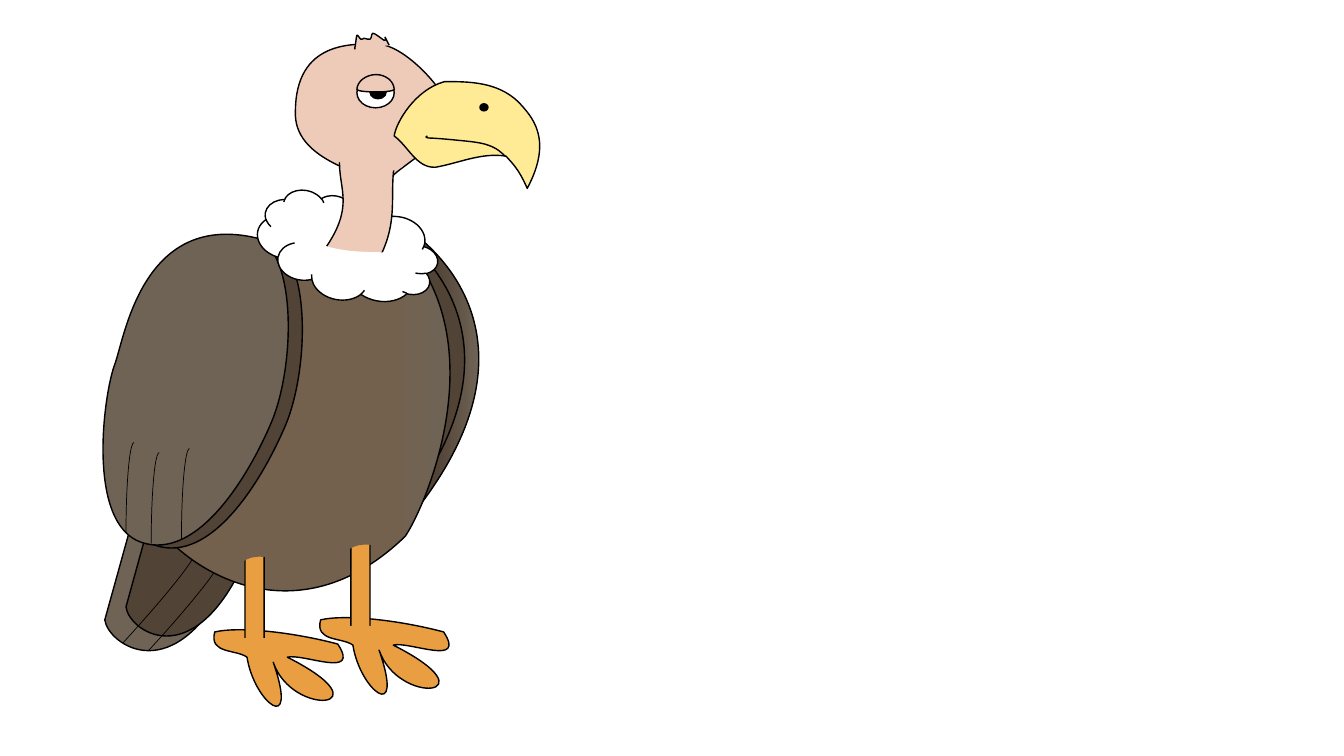
from math import cos, radians, sin

from lxml.etree import SubElement
from pptx import Presentation
from pptx.dml.color import RGBColor
from pptx.enum.shapes import MSO_SHAPE
from pptx.oxml.ns import qn
from pptx.util import Inches, Pt

BLACK = RGBColor(0x00, 0x00, 0x00)
WHITE = RGBColor(0xFF, 0xFF, 0xFF)
GREY_FEATHER = RGBColor(0x6E, 0x63, 0x55)
DARK_FEATHER = RGBColor(0x51, 0x43, 0x36)
BELLY = RGBColor(0x73, 0x61, 0x4E)
ORANGE = RGBColor(0xE9, 0x9E, 0x41)
SKIN = RGBColor(0xEE, 0xCA, 0xB8)
BEAK_YELLOW = RGBColor(0xFF, 0xEB, 0x95)

# Outlines in inches: a start point, then lines (x, y) or curves (two controls, end)
TAIL = [(2.62, 4.25), (1.65, 3.95), (1.04, 6.15),
        (1.07, 6.39, 1.74, 6.88, 2.3, 5.68), (2.62, 4.25)]
INNER_TAIL = [(2.72, 4.25), (1.82, 3.95), (1.25, 6.02),
              (1.27, 6.25, 1.9, 6.71, 2.42, 5.58), (2.72, 4.25)]
FAR_WING = [(3.92, 5.31), (5.65, 3.36, 4.18, 2.31, 3.9, 2.19),
            (2.71, 2.31, 2.97, 3.55, 2.97, 3.85), (2.92, 4.4, 3.82, 5.33, 3.92, 5.31)]
BODY = [(3.95, 2.36), (2.73, 2.41), (1.64, 5.32), (2.04, 5.76, 3.03, 6.28, 4.02, 5.32),
        (4.23, 5.01, 4.94, 3.35, 3.95, 2.36)]
FOOT = [(4.4, 6.27), (3.99, 6.16, 3.44, 6.09, 3.18, 6.15),
        (3.12, 6.37, 3.39, 6.32, 3.5, 6.4), (3.57, 6.85, 4.02, 7.2, 3.76, 6.45),
        (3.95, 7.01, 4.91, 6.91, 3.9, 6.4), (4.06, 6.36, 4.63, 6.62, 4.4, 6.27)]
THIGH = [(3.84, 5.43), (3.69, 5.41, 3.54, 5.35, 3.39, 5.51), (3.34, 5.18),
         (3.79, 5.11), (3.84, 5.43)]
NEAR_WING = [(2.84, 4.2), (3.06, 3.65, 3.08, 2.62, 2.72, 2.4),
             (1.56, 2.1, 1.38, 3.36, 1.28, 3.64), (1.17, 3.92, 0.99, 5.22, 1.54, 5.41),
             (2.1, 5.6, 2.61, 4.75, 2.84, 4.2)]
HEAD = [(4.47, 1.12), (4.44, 0.91, 4.01, 0.44, 3.75, 0.44),
        (3.49, 0.43, 2.93, 0.41, 2.93, 1.11), (2.91, 1.58, 3.59, 1.71, 3.75, 1.81),
        (3.91, 1.92, 3.79, 1.85, 3.91, 1.73), (4.03, 1.62, 4.5, 1.34, 4.47, 1.12)]
BEAK = [(5.14, 1.01), (4.93, 0.81, 4.65, 0.81, 4.41, 0.81),
        (4.12, 0.89, 3.93, 1.21, 3.91, 1.35), (4.05, 1.45, 4.13, 1.67, 4.32, 1.66),
        (4.55, 1.62, 4.78, 1.51, 5.02, 1.55), (5.06, 1.6, 5.14, 1.66, 5.23, 1.87),
        (5.49, 1.38, 5.28, 1.16, 5.14, 1.01)]
NECK = [(3.92, 1.59), (3.38, 1.5), (3.31, 1.85, 3.58, 2.01, 3.17, 2.54), (3.72, 2.64),
        (3.98, 2.2, 3.85, 1.94, 3.92, 1.59)]
MOUTH = [(5.01, 1.55), (4.97, 1.51, 4.93, 1.47, 4.84, 1.44),
         (4.76, 1.41, 4.62, 1.4, 4.52, 1.39), (4.42, 1.38, 4.3, 1.37, 4.25, 1.37),
         (4.2, 1.36, 4.24, 1.35, 4.24, 1.35)]
RUFF_FRONT = [(3.94, 2.51), (3.63, 2.49, 3.35, 2.53, 3.01, 2.35), (2.96, 2.63),
              (3.88, 2.8), (3.94, 2.51)]
EYELID = [(3.91, 0.89), (3.91, 0.81, 3.83, 0.74, 3.73, 0.74),
          (3.63, 0.74, 3.54, 0.81, 3.54, 0.89), (3.57, 0.92, 3.88, 0.92, 3.91, 0.89)]
TUFT = [(3.86, 0.45), (3.82, 0.37), (3.82, 0.37, 3.83, 0.41, 3.81, 0.4),
        (3.79, 0.39, 3.72, 0.33, 3.7, 0.33), (3.68, 0.33, 3.69, 0.38, 3.67, 0.39),
        (3.66, 0.4, 3.63, 0.38, 3.61, 0.38), (3.6, 0.38, 3.59, 0.4, 3.58, 0.39),
        (3.57, 0.39, 3.55, 0.34, 3.54, 0.35), (3.54, 0.35, 3.53, 0.39, 3.53, 0.41),
        (3.53, 0.43, 3.52, 0.47, 3.52, 0.47), (3.52, 0.49, 3.52, 0.49, 3.52, 0.49)]


def points_of(step):
    return list(zip(step[::2], step[1::2]))


def turn(point, degrees):
    x, y = point
    angle = radians(degrees)
    return x * cos(angle) - y * sin(angle), x * sin(angle) + y * cos(angle)


def shifted(outline, dx, dy):
    return [tuple(n for x, y in points_of(step) for n in (x + dx, y + dy))
            for step in outline]


def on_curve(points, t):
    weights = ((1 - t) ** 3, 3 * t * (1 - t) ** 2, 3 * t * t * (1 - t), t ** 3)
    return tuple(sum(w * p[axis] for w, p in zip(weights, points)) for axis in (0, 1))


def paint(shape, fill, line_width):
    """Fill with a colour, with a (left, right, start) blend, or with nothing."""
    shape.shadow.inherit = False
    if fill is None:
        shape.fill.background()
    elif isinstance(fill, RGBColor):
        shape.fill.solid()
        shape.fill.fore_color.rgb = fill
    else:
        left_colour, right_colour, start = fill
        shape.fill.gradient()
        shape.fill.gradient_angle = 0
        first, last = shape.fill.gradient_stops
        first.color.rgb, first.position = left_colour, start
        last.color.rgb, last.position = right_colour, 1.0
    if line_width:
        shape.line.color.rgb = BLACK
        shape.line.width = Pt(line_width)
    else:
        shape.line.fill.background()


def add_preset(bird, kind, frame, fill=None, line_width=1, rotation=0, flip=False):
    shape = bird.shapes.add_shape(kind, *(Inches(n) for n in frame))
    shape.rotation = rotation
    if flip:
        shape.element.spPr.find(qn("a:xfrm")).set("flipH", "1")
    paint(shape, fill, line_width)


def add_outline(bird, outline, fill=None, line_width=1, rotation=0, close=True):
    steps = [[turn(p, -rotation) for p in points_of(step)] for step in outline]

    # Sampled points fix the frame of the shape
    samples = [steps[0][0]]
    for step in steps[1:]:
        if len(step) == 1:
            samples.append(step[0])
        else:
            curve = [samples[-1]] + step
            samples += [on_curve(curve, i / 24) for i in range(1, 25)]
    samples = [(Inches(x), Inches(y)) for x, y in samples]
    builder = bird.shapes.build_freeform(*samples[0], scale=1.0)
    builder.add_line_segments(samples[1:], close=close)
    shape = builder.convert_to_shape()

    # Smooth curves take the place of the sampled segments
    path = shape.element.find(".//" + qn("a:path"))
    for child in list(path):
        path.remove(child)
    for index, step in enumerate(steps):
        tag = "a:moveTo" if index == 0 else "a:lnTo" if len(step) == 1 else "a:cubicBezTo"
        node = SubElement(path, qn(tag))
        for x, y in step:
            SubElement(node, qn("a:pt"), x=str(Inches(x) - shape.left),
                       y=str(Inches(y) - shape.top))
    if close:
        SubElement(path, qn("a:close"))

    # The frame turns about its own centre
    x, y = turn((shape.left + shape.width / 2, shape.top + shape.height / 2), rotation)
    shape.left, shape.top = round(x - shape.width / 2), round(y - shape.height / 2)
    shape.rotation = rotation
    paint(shape, fill, line_width)


def draw_tail_and_body(bird):
    add_outline(bird, TAIL, GREY_FEATHER, rotation=18.5)
    add_outline(bird, INNER_TAIL, DARK_FEATHER, rotation=18.5)
    for frame in ((1.34, 5.29, 0.16, 2.21), (1.08, 5.19, 0.16, 2.27)):
        add_preset(bird, MSO_SHAPE.ARC, frame, line_width=0.5, rotation=42.6)
    add_outline(bird, FAR_WING, (DARK_FEATHER, GREY_FEATHER, 0.76))
    add_outline(bird, shifted(FAR_WING, -0.14, 0.01), DARK_FEATHER)
    add_outline(bird, BODY, (BELLY, GREY_FEATHER, 0.76))


def draw_legs(bird):
    sides = ((0, 0), (-1.05, 0.12))
    for dx, dy in sides:
        add_outline(bird, shifted(FOOT, dx, dy), ORANGE)
        add_preset(bird, MSO_SHAPE.ROUNDED_RECTANGLE, (3.48 + dx, 5.32 + dy, 0.19, 0.96), ORANGE)
        add_preset(bird, MSO_SHAPE.ROUNDED_RECTANGLE, (3.44 + dx, 6.21 + dy, 0.29, 0.15),
                   ORANGE, line_width=0)
    for dx, dy in sides:
        add_outline(bird, shifted(THIGH, dx, dy), BELLY, line_width=0, rotation=-9.7)


def draw_near_wing(bird):
    add_outline(bird, NEAR_WING, (DARK_FEATHER, GREY_FEATHER, 0.76), rotation=20.1)
    add_outline(bird, shifted(NEAR_WING, -0.14, -0.03),
                (GREY_FEATHER, DARK_FEATHER, 0.78), rotation=20.1)
    for left, top in ((1.5, 4.49), (1.25, 4.39), (1.8, 4.45)):
        add_preset(bird, MSO_SHAPE.ARC, (left, top, 0.16, 1.8), line_width=0.5, flip=True)


def draw_head(bird):
    add_outline(bird, HEAD, SKIN)
    add_outline(bird, BEAK, BEAK_YELLOW)
    add_preset(bird, MSO_SHAPE.OVAL, (3.54, 0.77, 0.37, 0.3), WHITE)
    add_preset(bird, MSO_SHAPE.OVAL, (3.67, 0.85, 0.16, 0.13), BLACK)
    # Ruff and neck
    add_preset(bird, MSO_SHAPE.CLOUD, (2.54, 1.97, 1.81, 1.01), WHITE, rotation=10.5, flip=True)
    add_outline(bird, NECK, SKIN, rotation=10.2)
    add_preset(bird, MSO_SHAPE.OVAL, (3.26, 1.42, 0.76, 0.27), SKIN, line_width=0, rotation=9.6)
    add_outline(bird, MOUTH, close=False)
    add_outline(bird, RUFF_FRONT, WHITE, line_width=0, rotation=10.2)
    # Eyelid, nostril and tuft
    add_outline(bird, EYELID, SKIN)
    add_preset(bird, MSO_SHAPE.OVAL, (4.76, 1.03, 0.08, 0.07), BLACK)
    add_outline(bird, TUFT, SKIN, close=False)


def main():
    deck = Presentation()
    deck.slide_width, deck.slide_height = Inches(13.33), Inches(7.5)
    page = deck.slides.add_slide(deck.slide_layouts[6])
    vulture = page.shapes.add_group_shape()
    draw_tail_and_body(vulture)
    draw_legs(vulture)
    draw_near_wing(vulture)
    draw_head(vulture)
    deck.save("out.pptx")


if __name__ == "__main__":
    main()
